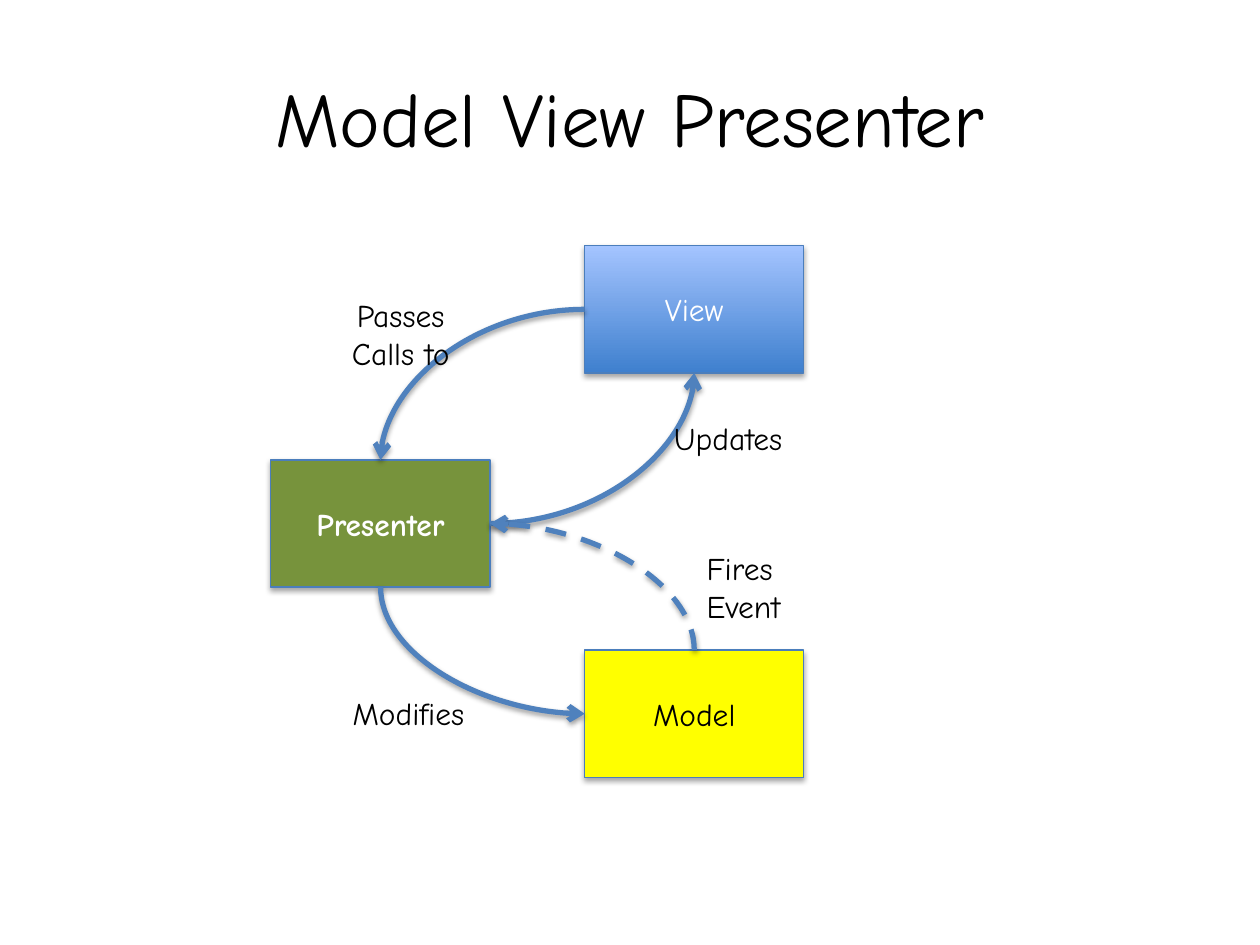
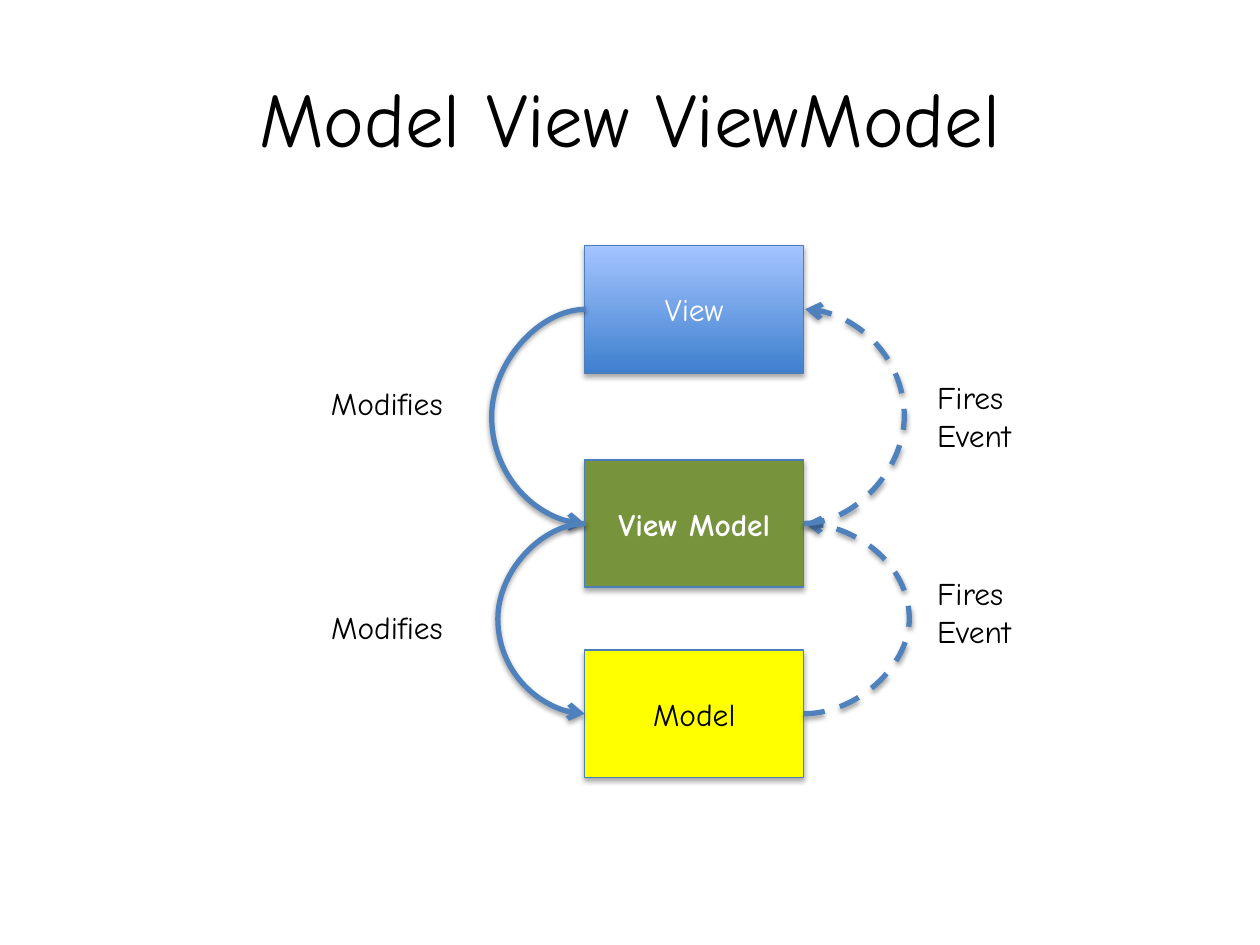
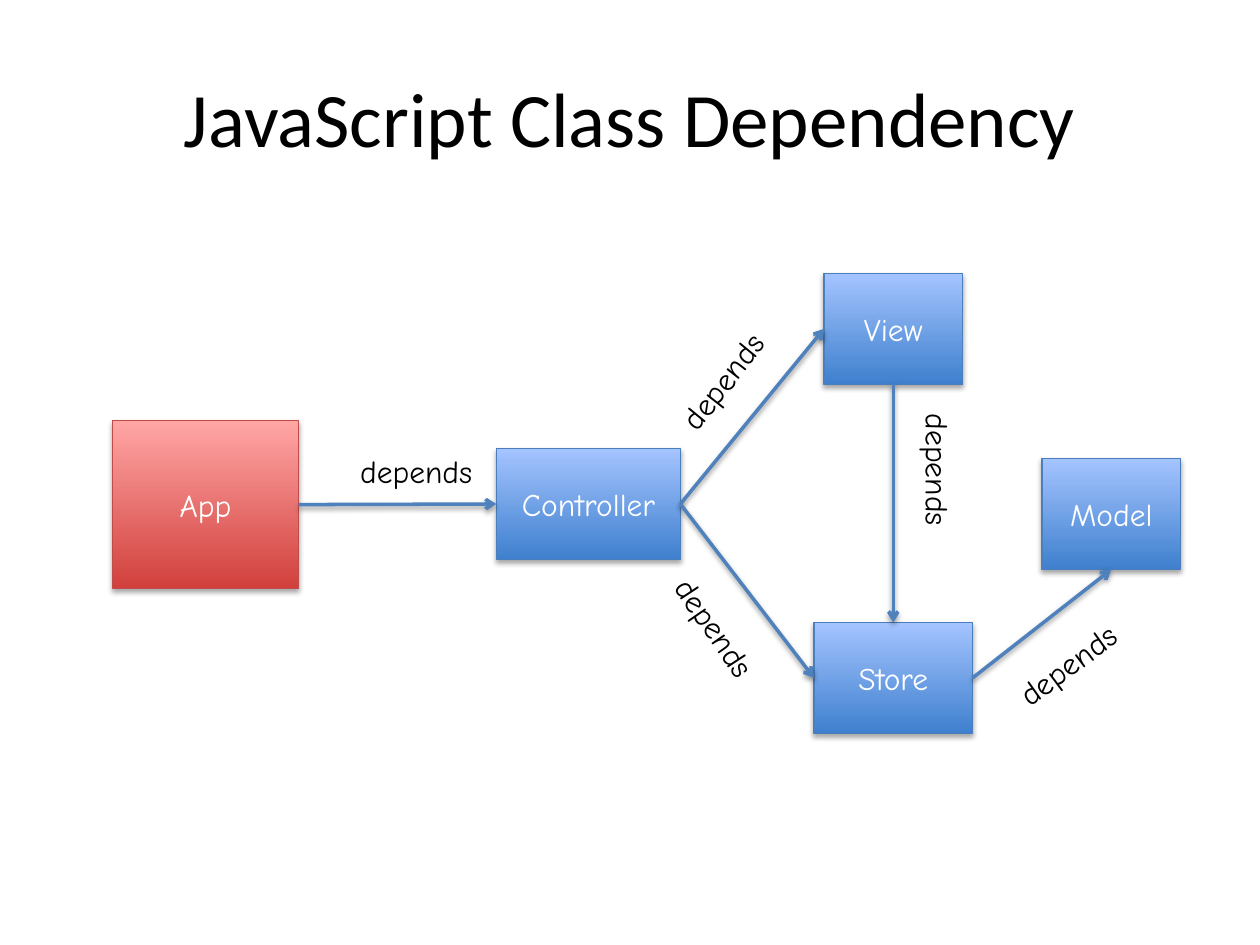
"""Draw three slides on how the parts of an app depend on each other."""
from dataclasses import dataclass
from typing import Optional

from lxml.etree import SubElement
from pptx import Presentation
from pptx.dml.color import RGBColor
from pptx.enum.dml import MSO_LINE
from pptx.enum.shapes import MSO_CONNECTOR, MSO_SHAPE
from pptx.enum.text import MSO_ANCHOR, MSO_AUTO_SIZE, PP_ALIGN
from pptx.oxml.ns import qn
from pptx.util import Inches, Pt

WIDTH, HEIGHT = Inches(10), Inches(7.5)
COLS, ROWS = 100, 75
HAND, PLAIN = "Comic Neue", "Calibri"
COLORS = {
    "black": "000000", "white": "FFFFFF", "yellow": "FFFF00", "green": "77933C",
    "blue": "3F80CE", "sky": "A4C4FF", "red": "D1403C", "pink": "FFA6A5",
    "edge": "4B7EBC", "rim": "BF4C48", "arrow": "4F81BD",
}
TOP, LEFT, BASE, RIGHT = range(4)
STEP = 0.1


@dataclass(frozen=True)
class Style:
    """Fill colours, from base to top, with edge and text format."""
    fill: tuple[str, ...]
    edge: str = "edge"
    ink: str = "white"
    bold: bool = False


@dataclass(frozen=True)
class Box:
    """A named box placed in columns and rows."""
    text: str
    x: float
    y: float
    w: float
    h: float
    style: Style


@dataclass(frozen=True)
class Link:
    """An arrow between the sides of two boxes."""
    start: str
    out: int
    end: str
    into: int
    dash: bool = False
    bulge: float = 0


@dataclass(frozen=True)
class Label:
    """A line of text placed in columns and rows."""
    text: str
    x: float
    y: float
    w: float
    h: float = 4
    turn: float = 0
    align: Optional[PP_ALIGN] = None


@dataclass(frozen=True)
class Page:
    """All that one slide shows."""
    title: str
    boxes: list[Box]
    links: list[Link]
    labels: list[Label]
    font: str = HAND
    weight: float = 3
    curved: bool = True


BLUE = Style(("blue", "sky"))
RED = Style(("red", "pink"), "rim")
GREEN = Style(("green",), bold=True)
YELLOW = Style(("yellow",), ink="black")


def col(value: float) -> int:
    """Turn columns into a length."""
    return round(WIDTH * value / COLS)


def row(value: float) -> int:
    """Turn rows into a length."""
    return round(HEIGHT * value / ROWS)


def place(item) -> tuple[int, int, int, int]:
    """Give the frame of an item."""
    return col(item.x), row(item.y), col(item.w), row(item.h)


def tint(name: str) -> RGBColor:
    """Look up a colour."""
    return RGBColor.from_string(COLORS[name])


def write(shape, text: str, ink: str = "black", align=None, **format) -> None:
    """Fill a shape with one formatted paragraph."""
    frame = shape.text_frame
    frame.word_wrap = True
    para = frame.paragraphs[0]
    para.alignment = align
    run = para.add_run()
    run.text = text
    for key, value in ({"size": Pt(18), "name": HAND} | format).items():
        setattr(run.font, key, value)
    run.font.color.rgb = tint(ink)


def shade(shape, gap: float, alpha: int) -> None:
    """Add a soft shadow below a shape."""
    list_ = SubElement(shape.element.spPr, qn("a:effectLst"))
    values = {"blurRad": Pt(3.1), "dist": Pt(gap), "dir": 90 * 60000, "rotWithShape": 0}
    cast = SubElement(list_, qn("a:outerShdw"),
                      {key: str(int(value)) for key, value in values.items()})
    color = SubElement(cast, qn("a:srgbClr"), val=COLORS["black"])
    SubElement(color, qn("a:alpha"), val=str(alpha * 1000))


def draw_title(slide, page: Page) -> None:
    """Draw the slide's title."""
    shape = slide.shapes.add_textbox(col(5), row(3), col(90), row(12.5))
    write(shape, page.title, align=PP_ALIGN.CENTER, size=Pt(44), name=page.font)
    shape.text_frame.vertical_anchor = MSO_ANCHOR.MIDDLE


def draw_box(slide, box: Box):
    """Draw a box and return its shape."""
    shape = slide.shapes.add_shape(MSO_SHAPE.RECTANGLE, *place(box))
    style = box.style
    if len(style.fill) > 1:
        shape.fill.gradient()
        shape.fill.gradient_angle = 90
        for stop, name in zip(shape.fill.gradient_stops, style.fill):
            stop.color.rgb = tint(name)
    else:
        shape.fill.solid()
        shape.fill.fore_color.rgb = tint(style.fill[0])
    shape.line.color.rgb = tint(style.edge)
    shape.line.width = Pt(0.75)
    shade(shape, 1.8, 35)
    write(shape, box.text, style.ink, PP_ALIGN.CENTER, bold=style.bold)
    shape.text_frame.vertical_anchor = MSO_ANCHOR.MIDDLE
    return shape


def bend(line, link: Link) -> None:
    """Shape a curve as a quarter turn or as a bulge to one side."""
    frame = line.element.spPr.find(qn("a:xfrm"))
    form = line.element.spPr.find(qn("a:prstGeom"))
    x1, y1, x2, y2 = line.begin_x, line.begin_y, line.end_x, line.end_y
    if link.bulge:
        if link.out == LEFT:
            x1 += col(STEP)
        else:
            x2 += col(STEP)
        form.set("prst", "curvedConnector3")
        ratio = round(link.bulge / STEP * 100000)
        SubElement(form.find(qn("a:avLst")), qn("a:gd"), name="adj1", fmla=f"val {ratio}")
    else:
        form.set("prst", "curvedConnector2")
        if link.out in (TOP, BASE):
            mid_x, mid_y = (x1 + x2) // 2, (y1 + y2) // 2
            x1, y1, x2, y2 = (mid_x - y1 + mid_y, mid_y + x1 - mid_x,
                              mid_x - y2 + mid_y, mid_y + x2 - mid_x)
            frame.set("rot", str(270 * 60000))
    ends = {"begin_x": x1, "begin_y": y1, "end_x": x2, "end_y": y2}
    for key, value in ends.items():
        setattr(line, key, value)


def draw_link(slide, link: Link, shapes: dict, page: Page) -> None:
    """Draw an arrow glued to two boxes."""
    kind = MSO_CONNECTOR.CURVE if page.curved else MSO_CONNECTOR.STRAIGHT
    line = slide.shapes.add_connector(kind, 0, 0, 0, 0)
    line.begin_connect(shapes[link.start], link.out)
    line.end_connect(shapes[link.end], link.into)
    if page.curved:
        bend(line, link)
    line.line.color.rgb = tint("arrow")
    line.line.width = Pt(page.weight)
    if link.dash:
        line.line.dash_style = MSO_LINE.DASH
    SubElement(line.element.spPr.find(qn("a:ln")), qn("a:tailEnd"), type="arrow")
    shade(line, 1.6, 38)


def draw_label(slide, label: Label) -> None:
    """Draw a label, turned if need be."""
    shape = slide.shapes.add_textbox(*place(label))
    shape.rotation = label.turn
    write(shape, label.text, align=label.align)
    shape.text_frame.auto_size = MSO_AUTO_SIZE.SHAPE_TO_FIT_TEXT


def draw_page(deck, page: Page) -> None:
    """Draw one slide."""
    slide = deck.slides.add_slide(deck.slide_layouts[6])
    draw_title(slide, page)
    shapes = {box.text: draw_box(slide, box) for box in page.boxes}
    for link in page.links:
        draw_link(slide, link, shapes, page)
    for label in page.labels:
        draw_label(slide, label)


def card(text: str, x: float, y: float, style: Style) -> Box:
    """Make a box of the size that the pattern slides share."""
    return Box(text, x, y, 17.4, 10.1, style)


def node(text: str, x: float, y: float, w: float = 11) -> Box:
    """Make a blue box of the class slide."""
    return Box(text, x, y, w, 8.8, BLUE)


ENDS = [card("View", 46.4, 19.5, BLUE), card("Model", 46.4, 51.6, YELLOW)]
PAGES = [
    Page(
        "Model View Presenter",
        ENDS + [card("Presenter", 21.5, 36.5, GREEN)],
        [
            Link("View", LEFT, "Presenter", TOP),
            Link("Presenter", BASE, "Model", LEFT),
            Link("Presenter", RIGHT, "View", BASE),
            Link("Model", TOP, "Presenter", RIGHT, dash=True),
        ],
        [
            Label("Fires Event", 55.1, 43.1, 12.6, 7.1),
            Label("Passes Calls to", 24.8, 23, 14, 7.1, align=PP_ALIGN.CENTER),
            Label("Modifies", 27, 54.6, 14),
            Label("Updates", 52.5, 32.8, 12.6),
        ],
    ),
    Page(
        "Model View ViewModel",
        ENDS + [card("View Model", 46.4, 36.5, GREEN)],
        [
            Link("Model", RIGHT, "View Model", RIGHT, True, 8.5),
            Link("View Model", RIGHT, "View", RIGHT, True, 8.1),
            Link("View", LEFT, "View Model", LEFT, bulge=7.6),
            Link("View Model", LEFT, "Model", LEFT, bulge=7.1),
        ],
        [
            Label("Fires Event", 73.4, 45.1, 12.6, 7.1),
            Label("Fires Event", 73.4, 29.5, 12.6, 7.1),
            Label("Modifies", 23.7, 30, 14, align=PP_ALIGN.CENTER),
            Label("Modifies", 25.3, 47.8, 14),
        ],
    ),
    Page(
        "JavaScript Class Dependency",
        [
            Box("App", 8.9, 33.4, 14.8, 13.3, RED),
            node("View", 65.4, 21.7),
            node("Controller", 39.4, 35.6, 14.6),
            node("Model", 82.7, 36.4),
            node("Store", 64.6, 49.4, 12.6),
        ],
        [
            Link("App", RIGHT, "Controller", LEFT),
            Link("Controller", RIGHT, "View", LEFT),
            Link("Controller", RIGHT, "Store", LEFT),
            Link("Store", RIGHT, "Model", BASE),
            Link("View", BASE, "Store", TOP),
        ],
        [
            Label("depends", x, y, w, turn=turn) for x, y, w, turn in (
                (27.6, 35.4, 13, 0),
                (51.5, 27.4, 13, 308.1),
                (51.1, 48.3, 12.1, 55.3),
                (68.4, 35.9, 12.1, 90),
                (79.1, 50.1, 13, 323.4),
            )
        ],
        font=PLAIN, weight=2, curved=False,
    ),
]


def main() -> None:
    """Build and save the deck."""
    deck = Presentation()
    deck.slide_width, deck.slide_height = WIDTH, HEIGHT
    for page in PAGES:
        draw_page(deck, page)
    deck.save("out.pptx")


if __name__ == "__main__":
    main()
